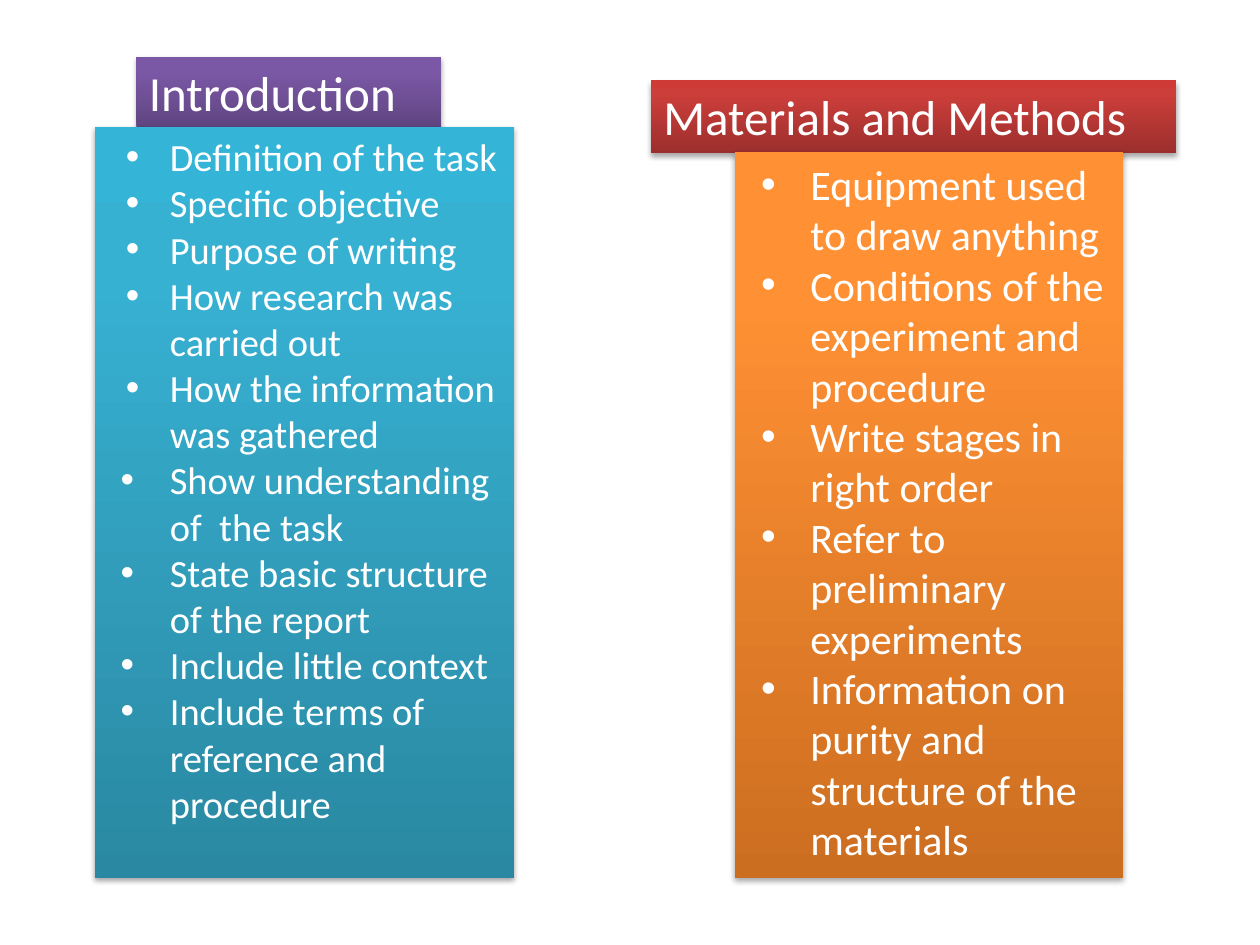
from dataclasses import dataclass

from copy import deepcopy
from lxml import etree
from pptx import Presentation
from pptx import util as u
from pptx.dml.color import RGBColor
from pptx.enum import shapes, text
from pptx.oxml.ns import qn

COLUMN = u.Inches(10) // 120
ROW = u.Inches(7.5) // 90


@dataclass(frozen=True)
class Theme:
    """Hold the colours and type sizes of the slide."""
    font: str = "Calibri"
    ink: str = "FFFFFF"
    shadow: str = "000000"
    heading: int = 28
    stops: tuple = (0, 0.8, 1)
    purple: tuple = ("5F4480", "7B58A6", "7C57A8")
    red: tuple = ("9C2F2D", "CB3E3A", "CE3B37")
    teal: tuple = ("2A88A2", "37B1D2", "34B4D6")
    orange: tuple = ("CC6E20", "FF9034", "FF9136")


THEME = Theme()
NARROW, WIDE = 0.35, 0.39

INTRODUCTION = [
    ("Definition of the task", NARROW),
    ("Specific objective", NARROW),
    ("Purpose of writing", NARROW),
    ("How research was carried out", NARROW),
    ("How the information was gathered", NARROW),
    ("Show understanding of  the task", WIDE),
    ("State basic structure of the report", WIDE),
    ("Include little context", WIDE),
    ("Include terms of reference and procedure", WIDE),
]
METHODS = [
    ("Equipment used to draw anything", WIDE),
    ("Conditions of the experiment and procedure", WIDE),
    ("Write stages in right order", WIDE),
    ("Refer to preliminary experiments", WIDE),
    ("Information on purity and structure of the materials", WIDE),
]


def apply(target, values):
    """Set each named attribute on the target."""
    for name, value in values.items():
        setattr(target, name, value)


def shade(box, colours):
    """Fill the box with a three-stop gradient, darkest at the bottom."""
    box.fill.gradient()
    box.fill.gradient_angle = 90
    stop_list = box._element.spPr.find(".//" + qn("a:gsLst"))
    stop_list.append(deepcopy(stop_list[-1]))
    for stop, position, colour in zip(box.fill.gradient_stops, THEME.stops, colours):
        stop.position = position
        stop.color.rgb = RGBColor.from_string(colour)


def cast_shadow(box):
    """Give the box a soft shadow straight below it."""
    box.shadow.inherit = False
    effects = box._element.spPr.find(qn("a:effectLst"))
    outer = etree.SubElement(
        effects, qn("a:outerShdw"), blurRad=str(u.Pt(3.1)), dist=str(u.Pt(1.8)),
        dir="5400000", rotWithShape="0")
    colour = etree.SubElement(outer, qn("a:srgbClr"), val=THEME.shadow)
    etree.SubElement(colour, qn("a:alpha"), val="35000")


def add_panel(page, cell, colours):
    """Add a shaded rectangle at a (column, row, columns, rows) cell."""
    left, top, width, height = cell
    box = page.shapes.add_shape(
        shapes.MSO_SHAPE.RECTANGLE, u.Emu(int(left * COLUMN)), u.Emu(int(top * ROW)),
        u.Emu(int(width * COLUMN)), u.Emu(int(height * ROW)))
    shade(box, colours)
    box.line.fill.background()
    cast_shadow(box)
    apply(box.text_frame, {"word_wrap": True, "vertical_anchor": text.MSO_ANCHOR.TOP})
    return box


def write(para, words, size):
    """Write left-aligned words in the theme's font and ink."""
    para.alignment = text.PP_ALIGN.LEFT
    span = para.add_run()
    span.text = words
    apply(span.font, {"name": THEME.font, "size": u.Pt(size)})
    span.font.color.rgb = RGBColor.from_string(THEME.ink)


def add_bullet(para, hang):
    """Give the paragraph a round bullet with a hanging indent."""
    properties = para._p.get_or_add_pPr()
    properties.set("marL", str(u.Inches(0.5)))
    properties.set("indent", str(-u.Inches(hang)))
    etree.SubElement(properties, qn("a:buFont"), typeface="Arial")
    etree.SubElement(properties, qn("a:buChar"), char="•")


def add_heading(page, cell, colours, words):
    """Add a section heading panel."""
    box = add_panel(page, cell, colours)
    write(box.text_frame.paragraphs[0], words, THEME.heading)


def add_list(page, cell, colours, items, size):
    """Add a panel of bulleted items."""
    frame = add_panel(page, cell, colours).text_frame
    for index, (words, hang) in enumerate(items):
        para = frame.add_paragraph() if index else frame.paragraphs[0]
        add_bullet(para, hang)
        write(para, words, size)


def main():
    """Build and save the slide."""
    deck = Presentation()
    apply(deck, {"slide_width": u.Inches(10), "slide_height": u.Inches(7.5)})
    page = deck.slides.add_slide(deck.slide_layouts[6])
    add_heading(page, (13, 5.4, 29, 6.9), THEME.purple, "Introduction")
    add_heading(page, (62, 7.65, 50, 6.9), THEME.red, "Materials and Methods")
    add_list(page, (9, 12.1, 40, 71.5), THEME.teal, INTRODUCTION, 22)
    add_list(page, (70, 14.5, 37, 69.1), THEME.orange, METHODS, 24)
    deck.save("out.pptx")


if __name__ == "__main__":
    main()
